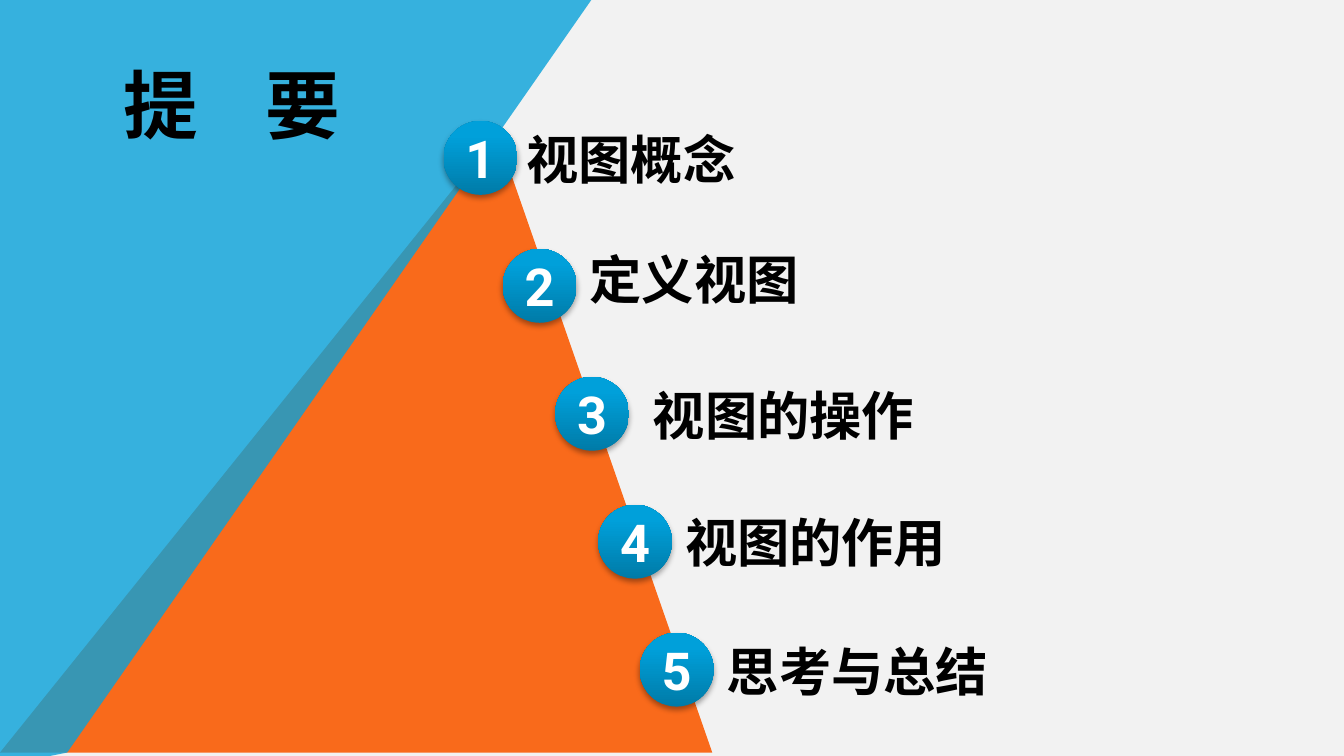
from lxml.etree import SubElement as Sub
from pptx import Presentation as Deck
from pptx.dml.color import RGBColor as RGB
from pptx.enum.shapes import MSO_SHAPE as Kind
from pptx.enum.text import MSO_ANCHOR as Anchor, PP_ALIGN as Align
from pptx.oxml.ns import qn
from pptx.util import Inches, Pt

CELL = Inches(0.1)
PALE = RGB(0xF2, 0xF2, 0xF2)
ORANGE = RGB(0xF9, 0x6A, 0x1B)
SKY = RGB(0x08, 0xA1, 0xD9)
DEEP = RGB(0x00, 0x7B, 0xA8)
BRIGHT = RGB(0x00, 0xA0, 0xDA)
GREY = RGB(0x79, 0x7B, 0x7E)
BLACK = RGB(0, 0, 0)
WHITE = RGB(0xFF, 0xFF, 0xFF)
HEAD, BODY, DIGIT = "Noto Sans CJK JP", "Noto Sans CJK SC", "Roboto"


def grid(*cells):
    return [round(n * CELL) for n in cells]


def tint(node, color, alpha=None):
    clr = Sub(node, qn("a:srgbClr"), val=str(color))
    if alpha:
        Sub(clr, qn("a:alpha"), val=str(alpha * 1000))


class Agenda:
    """Builds an agenda slide on a grid of tenth-inch cells."""

    def __init__(self, deck):
        self.slide = deck.slides.add_slide(deck.slide_layouts[6])
        self.shapes = self.slide.shapes
        fill = self.slide.background.fill
        fill.solid()
        fill.fore_color.rgb = PALE

    def run(self, para, text, face, size=28, color=BLACK):
        run = para.add_run()
        run.text = text
        font = run.font
        font.size, font.bold, font.name = Pt(size), True, face
        font.color.rgb = color
        props = run._r.get_or_add_rPr()
        Sub(props, qn("a:ea"), typeface=face)
        return props

    def wedge(self, points, color, alpha=None):
        pen = self.shapes.build_freeform(*points[0], scale=CELL)
        pen.add_line_segments(points[1:], close=True)
        shape = pen.convert_to_shape()
        shape.shadow.inherit = False
        shape.line.fill.background()
        shape.fill.solid()
        shape.fill.fore_color.rgb = color
        if alpha:
            clr = shape._element.spPr.find(".//" + qn("a:srgbClr"))
            Sub(clr, qn("a:alpha"), val=str(alpha * 1000))

    def label(self, box):
        frame = self.shapes.add_textbox(*grid(*box)).text_frame
        frame.word_wrap = True
        return frame.paragraphs[0]

    def title(self, chars, box):
        para = self.label(box)
        first, last = chars
        for text in (first, " ", last):
            props = self.run(para, text, HEAD, 40)
            if text == " ":
                props.set("spc", "2700")
            line = Sub(props, qn("a:ln"), w=str(Pt(0.8)))
            tint(Sub(line, qn("a:solidFill")), GREY)
            props.insert(0, line)

    def badge(self, num, left, top):
        shape = self.shapes.add_shape(Kind.OVAL, *grid(left, top, 5.5, 5.5))
        shape.line.fill.background()
        fill = shape.fill
        fill.gradient()
        fill.gradient_angle = 90
        for stop, place, color in zip(fill.gradient_stops, (0, 0.8), (DEEP, BRIGHT)):
            stop.position, stop.color.rgb = place, color
        shape.shadow.inherit = False
        glow = shape._element.spPr.find(qn("a:effectLst"))
        tint(Sub(glow, qn("a:outerShdw"), blurRad=str(Pt(3.1)), dist=str(Pt(1.8)),
                 dir="5400000", algn="t", rotWithShape="0"), BLACK, 35)
        frame = shape.text_frame
        frame.word_wrap = False
        frame.vertical_anchor = Anchor.MIDDLE
        para = frame.paragraphs[0]
        para.alignment = Align.CENTER
        self.run(para, str(num), DIGIT, color=WHITE)

    def topic(self, num, text, left, box):
        self.badge(num, left, 9 + 9.52 * (num - 1))
        self.run(self.label(box), text, BODY)


def main():
    deck = Deck()
    deck.slide_width, deck.slide_height = grid(100, 56.25)
    page = Agenda(deck)
    page.wedge([(0, 56.3), (36.7, 10.3), (52.9, 56.5)], ORANGE)
    page.wedge([(-0.1, 56.6), (-0.1, -0.1), (43.9, -0.1), (4.7, 56.4)], SKY, 80)
    page.title("提要", (8.2, 3.9, 22.9, 7.7))
    topics = [
        ("视图概念", 33, (38.2, 9, 18.9, 5.7)),
        ("定义视图", 37.4, (42.9, 17.9, 18.9, 5.7)),
        ("视图的操作", 41.3, (47.6, 28, 24.4, 5.7)),
        ("视图的作用", 44.5, (50, 37.5, 28.3, 5.7)),
        ("思考与总结", 47.6, (53.1, 47.1, 25.2, 5.7)),
    ]
    for num, item in enumerate(topics, 1):
        page.topic(num, *item)
    deck.save("out.pptx")


if __name__ == "__main__":
    main()
